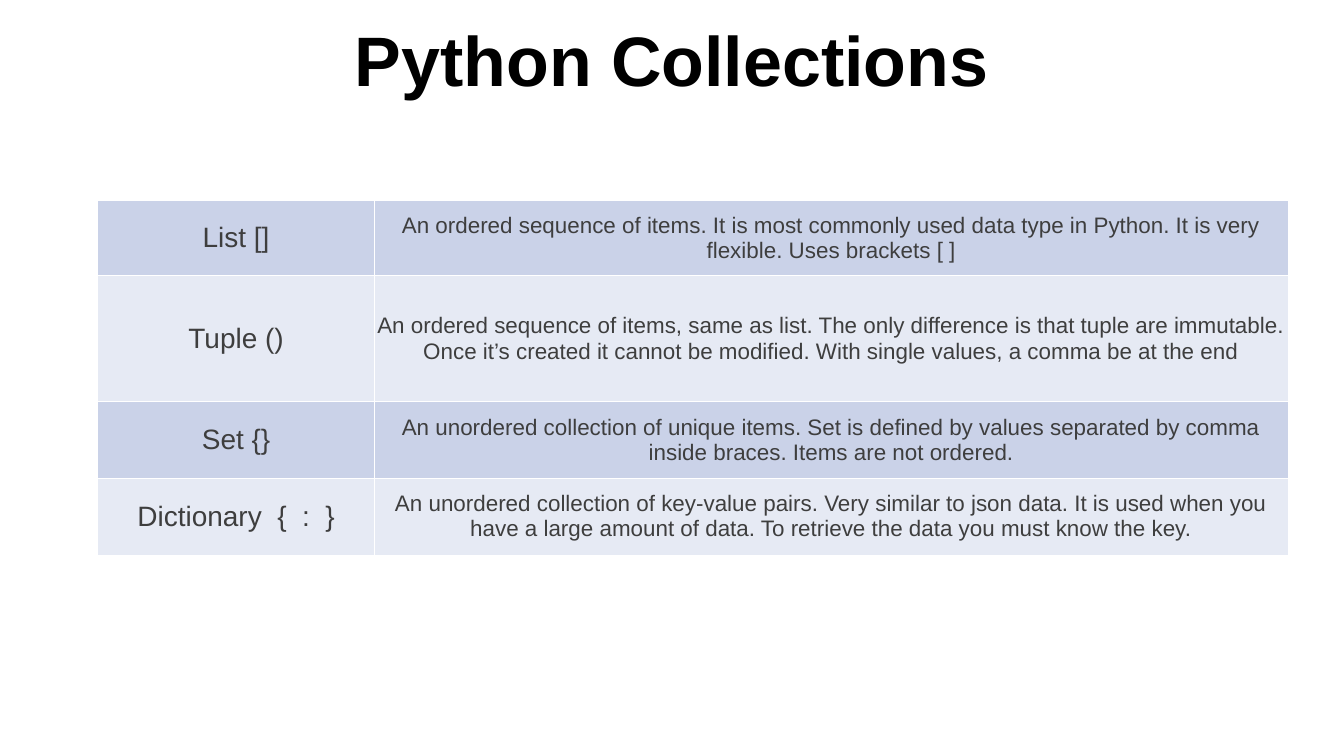
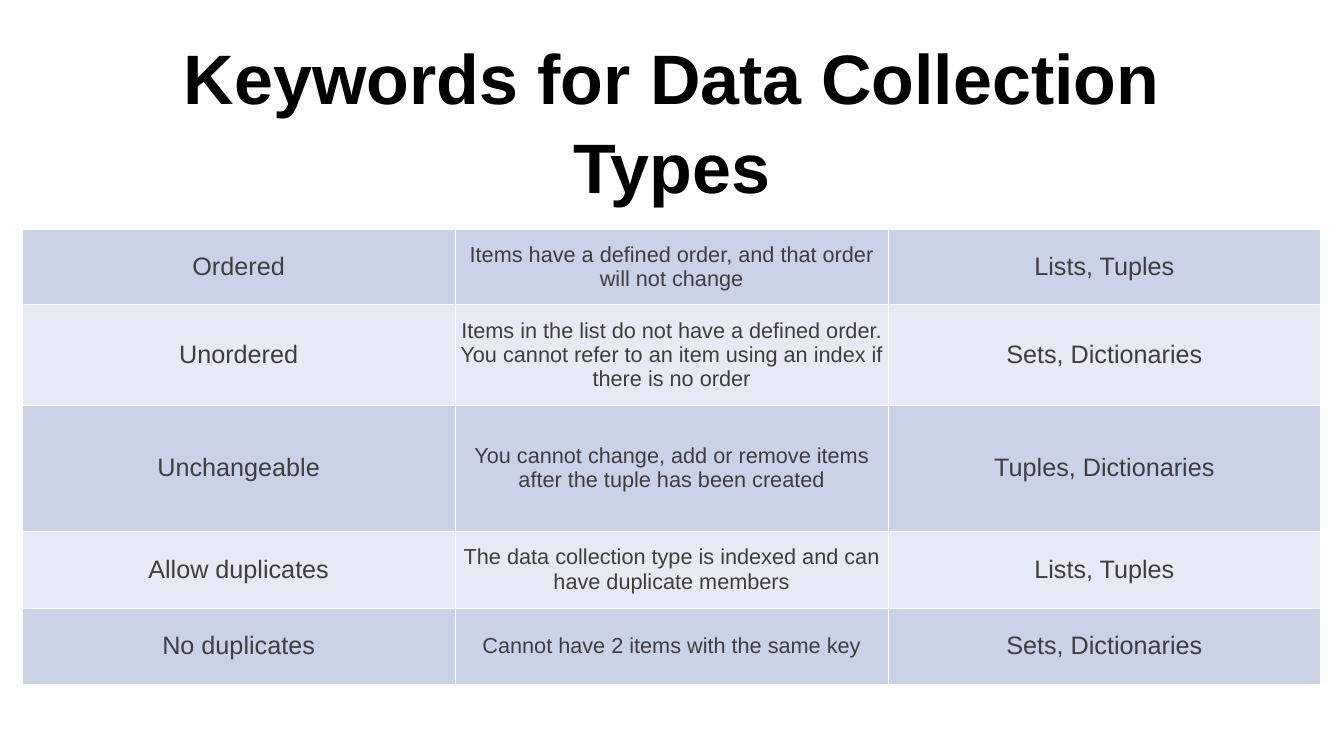
from dataclasses import dataclass

from lxml.etree import SubElement
from pptx import Presentation
from pptx.dml.color import RGBColor
from pptx.enum.text import MSO_ANCHOR, MSO_AUTO_SIZE, PP_ALIGN
from pptx.oxml.ns import qn
from pptx.util import Inches, Pt

FONT = "Arial"
BLACK = RGBColor(0x00, 0x00, 0x00)
GREY = RGBColor(0x3E, 0x3E, 0x3E)
WHITE = RGBColor(0xFF, 0xFF, 0xFF)
BANDS = (RGBColor(0xCA, 0xD2, 0xE8), RGBColor(0xE6, 0xEA, 0xF4))
TITLE_LEFT, TITLE_WIDTH = 1.94, 22.78


@dataclass(frozen=True)
class TableSlide:
    """A titled slide with one banded table; lengths in inches, sizes in points."""
    title: str
    title_top: float
    title_height: float
    left: float
    top: float
    widths: tuple[float, ...]
    heights: tuple[float, ...]
    sizes: tuple[int, ...]  # one text size per column
    rows: tuple[tuple[str, ...], ...]


SLIDES = (
    TableSlide(
        "Python Collections", 0.04, 2.16, 1.94, 3.97,
        (5.49, 18.13), (1.5, 2.5, 1.52, 1.52), (40, 32),
        (
            ("List []",
             "An ordered sequence of items. It is most commonly used data type in "
             "Python. It is very flexible. Uses brackets [ ]"),
            ("Tuple ()",
             "An ordered sequence of items, same as list. The only difference is that "
             "tuple are immutable. Once it’s created it cannot be modified. With "
             "single values, a comma be at the end"),
            ("Set {}",
             "An unordered collection of unique items. Set is defined by values "
             "separated by comma inside braces. Items are not ordered."),
            ("Dictionary  {  :  }",
             "An unordered collection of key-value pairs. Very similar to json data. "
             "It is used when you have a large amount of data. To retrieve the data "
             "you must know the key."),
        ),
    ),
    TableSlide(
        "Keywords for Data Collection Types", -0.18, 5.08, 0.44, 4.54,
        (8.59,) * 3, (1.5, 2, 2.5, 1.52, 1.52), (36, 31, 36),
        (
            ("Ordered",
             "Items have a defined order, and that order will not change",
             "Lists, Tuples"),
            ("Unordered",
             "Items in the list do not have a defined order. You cannot refer to an "
             "item using an index if there is no order",
             "Sets, Dictionaries"),
            ("Unchangeable",
             "You cannot change, add or remove items after the tuple has been created",
             "Tuples, Dictionaries"),
            ("Allow duplicates",
             "The data collection type is indexed and can have duplicate members",
             "Lists, Tuples"),
            ("No duplicates",
             "Cannot have 2 items with the same key",
             "Sets, Dictionaries"),
        ),
    ),
)


def style_paragraph(p, size: int, color: RGBColor, bold: bool = False) -> None:
    """Centre a paragraph and set its font."""
    p.alignment = PP_ALIGN.CENTER
    p.font.name = FONT
    p.font.size = Pt(size)
    p.font.bold = bold
    p.font.color.rgb = color


def set_title(s, spec: TableSlide) -> None:
    """Place and format the title placeholder."""
    sp = s.shapes.title
    sp.left, sp.top = Inches(TITLE_LEFT), Inches(spec.title_top)
    sp.width, sp.height = Inches(TITLE_WIDTH), Inches(spec.title_height)
    tf = sp.text_frame
    tf.text = spec.title
    tf.word_wrap = True
    tf.auto_size = MSO_AUTO_SIZE.NONE
    tf.vertical_anchor = MSO_ANCHOR.MIDDLE
    tf.margin_left = tf.margin_right = tf.margin_top = tf.margin_bottom = Inches(0.1)
    p = tf.paragraphs[0]
    p.line_spacing = 1.05
    style_paragraph(p, 100, BLACK, bold=True)


def add_borders(cell, color: RGBColor, width: float) -> None:
    """Draw a solid line on all four sides of a cell."""
    tc_pr = cell._tc.get_or_add_tcPr()
    for i, side in enumerate(("a:lnL", "a:lnR", "a:lnT", "a:lnB")):
        ln = SubElement(tc_pr, qn(side), w=str(Pt(width)))
        fill = SubElement(ln, qn("a:solidFill"))
        SubElement(fill, qn("a:srgbClr"), val=str(color))
        tc_pr.remove(ln)
        tc_pr.insert(i, ln)  # borders come before the fill


def fill_cell(cell, text: str, size: int, band: RGBColor) -> None:
    """Write one table cell with its band colour and borders."""
    cell.text = text
    cell.vertical_anchor = MSO_ANCHOR.MIDDLE
    cell.margin_left = cell.margin_right = cell.margin_top = cell.margin_bottom = 0
    style_paragraph(cell.text_frame.paragraphs[0], size, GREY)
    cell.fill.solid()
    cell.fill.fore_color.rgb = band
    add_borders(cell, WHITE, 1)


def add_banded_table(s, spec: TableSlide) -> None:
    """Add the table, its rows alternating between the two bands."""
    table = s.shapes.add_table(
        len(spec.rows), len(spec.widths), Inches(spec.left), Inches(spec.top),
        Inches(sum(spec.widths)), Inches(sum(spec.heights))).table
    table.first_row = table.horz_banding = False
    for column, width in zip(table.columns, spec.widths):
        column.width = Inches(width)
    for r, (height, texts) in enumerate(zip(spec.heights, spec.rows)):
        table.rows[r].height = Inches(height)
        for c, (text, size) in enumerate(zip(texts, spec.sizes)):
            fill_cell(table.cell(r, c), text, size, BANDS[r % len(BANDS)])


def main() -> None:
    """Build and save the deck."""
    prs = Presentation()
    prs.slide_width, prs.slide_height = Inches(26.67), Inches(15)
    for spec in SLIDES:
        s = prs.slides.add_slide(prs.slide_layouts[5])
        set_title(s, spec)
        add_banded_table(s, spec)
    prs.save("out.pptx")


main()
